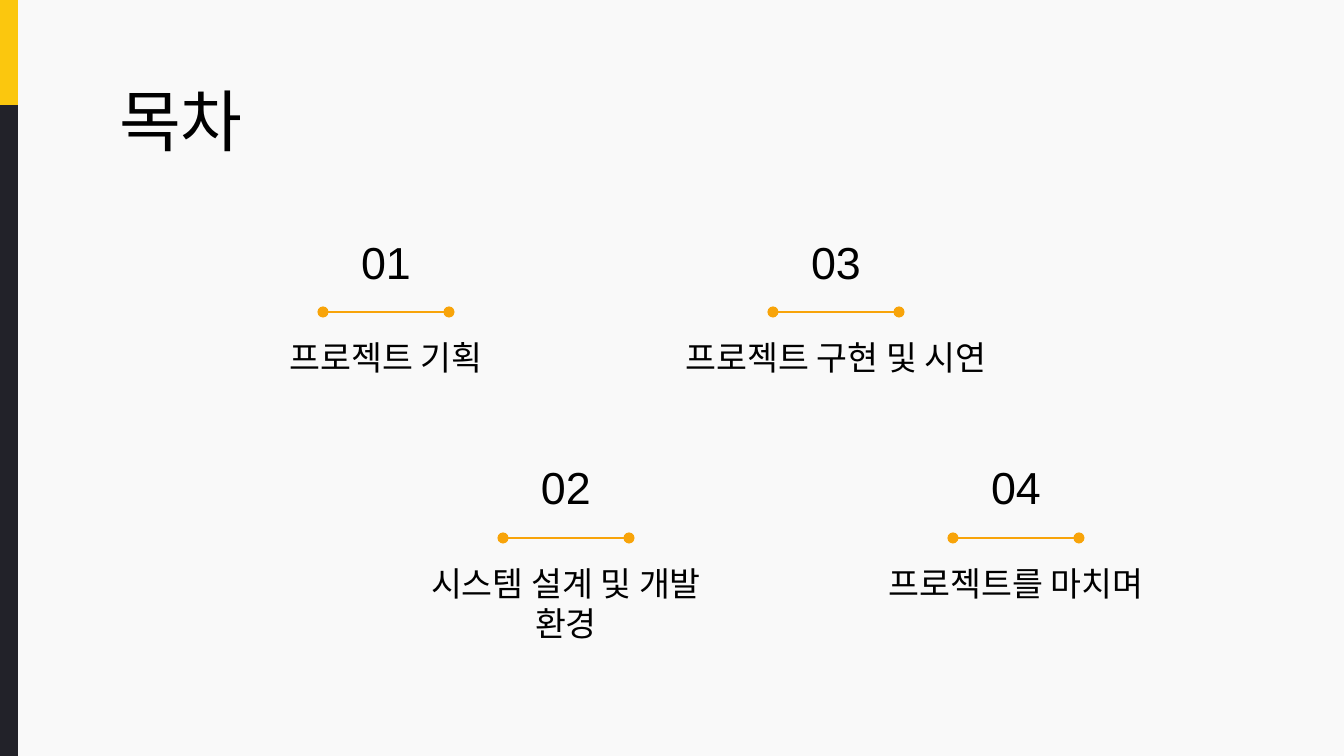
"""Build the table-of-contents slide with four numbered sections."""
from lxml.etree import SubElement
from pptx import Presentation
from pptx.dml.color import RGBColor
from pptx.enum.shapes import MSO_CONNECTOR, MSO_SHAPE
from pptx.enum.text import MSO_ANCHOR, MSO_AUTO_SIZE, PP_ALIGN
from pptx.oxml.ns import qn
from pptx.util import Pt

BACKGROUND = RGBColor(0xF9, 0xF9, 0xF9)
DARK = RGBColor(0x22, 0x22, 0x29)
YELLOW = RGBColor(0xFB, 0xC7, 0x0E)
ORANGE = RGBColor(0xF8, 0xA4, 0x0A)
BLACK = RGBColor(0, 0, 0)

TITLE = "목차"
SECTIONS = ["프로젝트 기획", "시스템 설계 및 개발 환경", "프로젝트 구현 및 시연", "프로젝트를 마치며"]
SIDE_BARS = [(97, 659, DARK), (0, 105, YELLOW)]

EMU_PER_PX = 914400 / 134.4
WIDTH, HEIGHT, BAR_WIDTH = 1344, 756, 18
FIRST_CENTER, PAIR_STEP, ROW_SHIFT = 386, 450, 180
FIRST_RULE, ROW_STEP = 312, 226
RULE_WIDTH, NUMBER_WIDTH, LABEL_WIDTH = 126, 114, 360


def px(*lengths):
    return [round(length * EMU_PER_PX) for length in lengths]


def write(box, text, size, align, anchor):
    frame = box.text_frame
    inset = px(13)[0]
    frame_format = {
        "word_wrap": True, "auto_size": MSO_AUTO_SIZE.NONE, "vertical_anchor": anchor,
        "margin_left": inset, "margin_right": inset, "margin_top": inset, "margin_bottom": inset,
    }
    for name, value in frame_format.items():
        setattr(frame, name, value)
    para = frame.paragraphs[0]
    para.alignment = align
    span = para.add_run()
    span.text = text
    for name, value in {"name": "Arial", "size": Pt(size)}.items():
        setattr(span.font, name, value)
    span.font.color.rgb = BLACK


def add_rule(page, center, y):
    left, right = center - RULE_WIDTH / 2, center + RULE_WIDTH / 2
    rule = page.shapes.add_connector(MSO_CONNECTOR.STRAIGHT, *px(left, y, right, y))
    rule.line.color.rgb = ORANGE
    rule.line.width = Pt(0.75)
    outline = rule.line._get_or_add_ln()
    for end in ("a:headEnd", "a:tailEnd"):
        SubElement(outline, qn(end), type="oval")
    SubElement(rule._element.spPr, qn("a:effectLst"))


def add_section(page, index, label):
    pair, row = divmod(index, 2)
    center = FIRST_CENTER + pair * PAIR_STEP + row * ROW_SHIFT
    y = FIRST_RULE + row * ROW_STEP
    parts = [
        (f"{index + 1:02}", 24, NUMBER_WIDTH, y - 102, 91, MSO_ANCHOR.BOTTOM),
        (label, 18, LABEL_WIDTH, y + 12, 66, MSO_ANCHOR.TOP),
    ]
    for text, size, width, top, height, anchor in parts:
        box = page.shapes.add_textbox(*px(center - width / 2, top, width, height))
        write(box, text, size, PP_ALIGN.CENTER, anchor)
    add_rule(page, center, y)


def main():
    deck = Presentation()
    deck.slide_width, deck.slide_height = px(WIDTH, HEIGHT)
    page = deck.slides.add_slide(deck.slide_layouts[5])
    page.background.fill.solid()
    page.background.fill.fore_color.rgb = BACKGROUND

    for top, height, color in SIDE_BARS:
        bar = page.shapes.add_shape(MSO_SHAPE.RECTANGLE, *px(0, top, BAR_WIDTH, height))
        bar.shadow.inherit = False
        bar.fill.solid()
        bar.fill.fore_color.rgb = color
        bar.line.fill.background()

    title = page.shapes.title
    title.left, title.top, title.width, title.height = px(106, 66, 1133, 85)
    write(title, TITLE, 36, PP_ALIGN.LEFT, MSO_ANCHOR.TOP)

    for index, label in enumerate(SECTIONS):
        add_section(page, index, label)
    deck.save("out.pptx")


if __name__ == "__main__":
    main()
